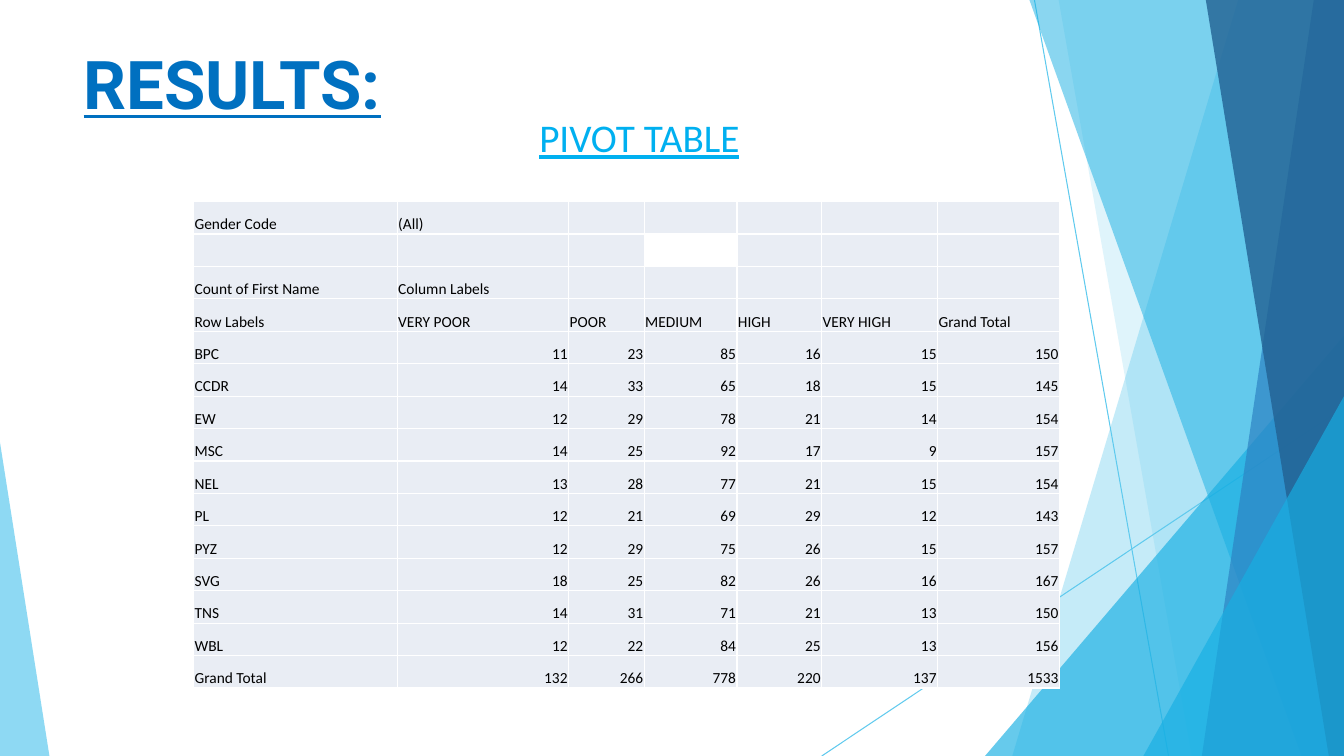
from pptx import Presentation
from pptx.dml.color import RGBColor
from pptx.enum.shapes import MSO_CONNECTOR
from pptx.enum.text import MSO_ANCHOR, MSO_AUTO_SIZE, PP_ALIGN
from pptx.oxml.ns import qn
from pptx.util import Inches, Pt
from lxml import etree

STRAIGHT = MSO_CONNECTOR.STRAIGHT
TOP, BOTTOM = MSO_ANCHOR.TOP, MSO_ANCHOR.BOTTOM
LEFT, RIGHT = PP_ALIGN.LEFT, PP_ALIGN.RIGHT
FIT, NO_FIT = MSO_AUTO_SIZE.SHAPE_TO_FIT_TEXT, MSO_AUTO_SIZE.NONE
W, H = 13.33, 7.5

# Content
TITLE = "RESULTS:"
HEADING = "PIVOT TABLE"
ROWS = [
    ("Gender Code", "(All)"),
    (),
    ("Count of First Name", "Column Labels"),
    ("Row Labels", "VERY POOR", "POOR", "MEDIUM", "HIGH", "VERY HIGH", "Grand Total"),
    ("BPC", 11, 23, 85, 16, 15, 150),
    ("CCDR", 14, 33, 65, 18, 15, 145),
    ("EW", 12, 29, 78, 21, 14, 154),
    ("MSC", 14, 25, 92, 17, 9, 157),
    ("NEL", 13, 28, 77, 21, 15, 154),
    ("PL", 12, 21, 69, 29, 12, 143),
    ("PYZ", 12, 29, 75, 26, 15, 157),
    ("SVG", 18, 25, 82, 26, 16, 167),
    ("TNS", 14, 31, 71, 21, 13, 150),
    ("WBL", 12, 22, 84, 25, 13, 156),
    ("Grand Total", 132, 266, 778, 220, 137, 1533),
]
COLS = [2.02, 1.7, 0.75, 0.92, 0.84, 1.15, 1.21]
BLANK = (1, 3)  # the one white cell
TABLE_H = 4.83

# Backdrop: lines (from, to), then facets (colour, opacity in %, corners)
LINES = [((10.26, 0), (11.59, H)), ((W, 4.04), (8.15, H))]
FACETS = [
    ("5FCAEE", 36, [(W, 0), (12.28, 0), (10.04, H), (W, H)]),
    ("5FCAEE", 20, [(W, 0), (10.5, 0), (11.82, H), (W, H)]),
    ("17AFE3", 66, [(W, 3.33), (9.77, H), (W, H)]),
    ("17AFE3", 50, [(W, 0), (10.21, 0), (12.91, H), (W, H)]),
    ("2D83C3", 70, [(W, 0), (13.03, 0), (11.92, H), (W, H)]),
    ("226192", 80, [(W, 0), (11.96, 0), (13.18, H), (W, H)]),
    ("17AFE3", 66, [(W, 3.93), (11.34, H), (W, H)]),
    ("5FCAEE", 70, [(0, 4.39), (0, H), (0.49, H)]),
]


def paint(fill, color, alpha=100):
    fill.solid()
    fill.fore_color.rgb = RGBColor.from_string(color)
    if alpha < 100:
        tone = fill._xPr.find(".//" + qn("a:srgbClr"))
        etree.SubElement(tone, qn("a:alpha"), val=str(alpha * 1000))


def style(para, face, size, color, align=LEFT, bold=False, under=False):
    para.alignment = align
    font = para.font
    font.name, font.size = face, Pt(size)
    font.bold, font.underline = bold, under
    font.color.rgb = RGBColor.from_string(color)


def edge(cell, color, width):
    props = cell._tc.get_or_add_tcPr()
    for side in ("lnL", "lnR", "lnT", "lnB"):
        line = etree.SubElement(props, qn("a:" + side), w=str(Pt(width)))
        fill = etree.SubElement(line, qn("a:solidFill"))
        etree.SubElement(fill, qn("a:srgbClr"), val=color)


deck = Presentation()
deck.slide_width, deck.slide_height = Inches(W), Inches(H)
slide = deck.slides.add_slide(deck.slide_layouts[5])
shapes = slide.shapes
title = shapes.title

# Backdrop
for start, end in LINES:
    line = shapes.add_connector(STRAIGHT, *map(Inches, start + end))
    line.line.width = Pt(0.75)
    paint(line.line.fill, "5FCAEE")
    etree.SubElement(line._element.spPr, qn("a:effectLst"))

for color, alpha, points in FACETS:
    first, *rest = [(Inches(x), Inches(y)) for x, y in points]
    path = shapes.build_freeform(*first)
    path.add_line_segments(rest, close=True)
    facet = path.convert_to_shape()
    facet.shadow.inherit = False
    facet.line.fill.background()
    paint(facet.fill, color, alpha)

# Title, brought in front of the backdrop
shapes._spTree.append(title._element)
title.left, title.top = Inches(0.83), Inches(0.42)
title.width, title.height = Inches(3.26), Inches(0.83)
frame = title.text_frame
frame.text = TITLE
frame.auto_size, frame.vertical_anchor = NO_FIT, TOP
frame.margin_left = frame.margin_right = frame.margin_top = frame.margin_bottom = 0
style(frame.paragraphs[0], "Roboto", 48, "0070C0", bold=True, under=True)

# Heading
box = shapes.add_textbox(Inches(5.25), Inches(1.08), Inches(2.21), Inches(0.57))
frame = box.text_frame
frame.text = HEADING
frame.word_wrap, frame.auto_size = False, FIT
style(frame.paragraphs[0], "Calibri", 28, "00B0F0", under=True)

# Pivot table
table = shapes.add_table(len(ROWS), len(COLS), Inches(1.92), Inches(2),
                         Inches(sum(COLS)), Inches(TABLE_H)).table
table.first_row = table.horz_banding = False
for col, width in zip(table.columns, COLS):
    col.width = Inches(width)
for r, row in enumerate(ROWS):
    table.rows[r].height = Inches(TABLE_H / len(ROWS))
    for c in range(len(COLS)):
        cell = table.cell(r, c)
        value = row[c] if c < len(row) else ""
        cell.text = str(value)
        cell.vertical_anchor = BOTTOM
        cell.margin_left = cell.margin_right = cell.margin_top = Inches(0.01)
        cell.margin_bottom = 0
        align = RIGHT if isinstance(value, int) else LEFT
        style(cell.text_frame.paragraphs[0], "Calibri", 11, "000000", align)
        edge(cell, "FFFFFF", 1)
        paint(cell.fill, "FFFFFF" if (r, c) == BLANK else "E9EDF4")

deck.save("out.pptx")
